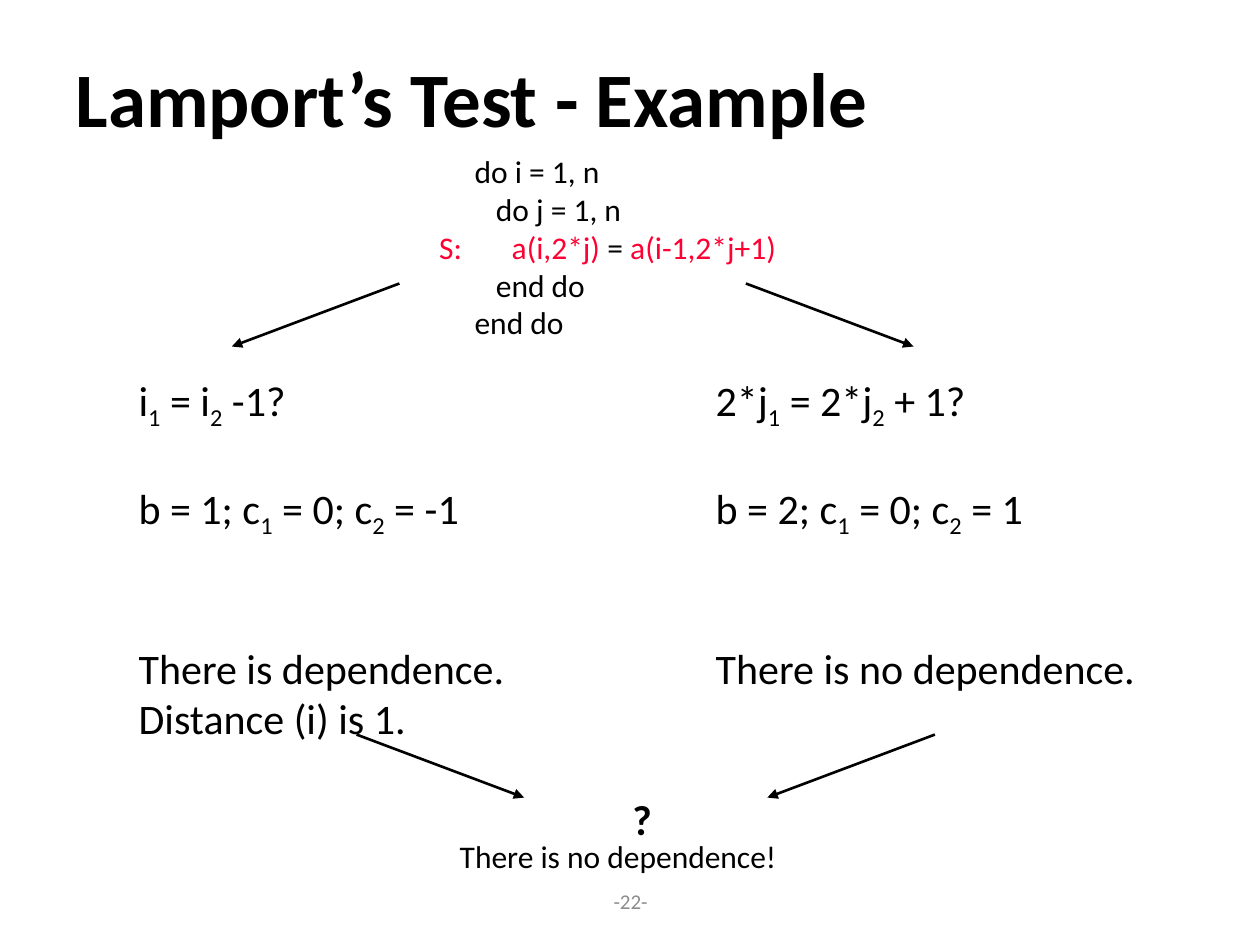
"""Builds a slide that works through an example of Lamport's dependence test."""
from lxml import etree
from pptx import Presentation
from pptx import util as u
from pptx.dml.color import RGBColor
from pptx.enum import shapes, text
from pptx.oxml.ns import qn

BLACK = RGBColor(0x00, 0x00, 0x00)
RED = RGBColor(0xFF, 0x00, 0x33)
GRAY = RGBColor(0x8C, 0x8C, 0x8C)
FONT = "Calibri"
LEFT, CENTER = text.PP_ALIGN.LEFT, text.PP_ALIGN.CENTER
TOP, MIDDLE = text.MSO_ANCHOR.TOP, text.MSO_ANCHOR.MIDDLE

TITLE = "Lamport’s Test - Example"
LOOP = [
    "      do i = 1, n",
    "         do j = 1, n",
    [(" S:       a(i,2*j)", RED), (" = ", BLACK), ("a(i-1,2*j+1)", RED)],
    "         end do",
    "      end do",
]
TESTS = [
    ["i_1 = i_2 -1?", "b = 1; c_1 = 0; c_2 = -1",
     "There is dependence.", "Distance (i) is 1."],
    ["2*j_1 = 2*j_2 + 1?", "b = 2; c_1 = 0; c_2 = 1",
     "There is no dependence."],
]
QUESTION = "?"
CONCLUSION = "There is no dependence!"
PAGE = "-22-"

TEST_LEFTS = (1, 5.58)
TEST_TOP, TEST_WIDTH, TEST_HEIGHT = 2.92, 3.92, 3.25
TEST_GAPS = (0, 29, 58.5, 0)
ARROW_RUN, ARROW_DROP = 1.33, 0.5
ARROW_STARTS = [(5.92, 2.25, 1), (3.17, 2.25, -1), (2.83, 5.83, 1), (7.42, 5.83, -1)]


def write(shape, lines, box, size, color=BLACK, bold=False, align=LEFT,
          anchor=TOP, gaps=(), wrap=True):
    """Place a shape and fill it; an underscore makes the next digit a subscript."""
    shape.left, shape.top, shape.width, shape.height = map(u.Inches, box)
    frame = shape.text_frame
    frame.auto_size = text.MSO_AUTO_SIZE.NONE
    frame.word_wrap, frame.vertical_anchor = wrap, anchor
    for row, line in enumerate(lines):
        paragraph = frame.add_paragraph() if row else frame.paragraphs[0]
        properties = paragraph._p.get_or_add_pPr()
        properties.set("marL", "0")
        properties.set("indent", "0")
        etree.SubElement(properties, qn("a:buNone"))
        paragraph.alignment = align
        paragraph.space_before = u.Pt(gaps[row] if gaps else 0)
        for words, tint in [(line, color)] if isinstance(line, str) else line:
            first, *marked = words.split("_")
            pieces = [(first, False)]
            for part in marked:
                pieces += [(part[0], True), (part[1:], False)]
            for piece, lowered in pieces:
                run = paragraph.add_run()
                run.text = piece
                font = run.font
                font.name, font.size, font.bold = FONT, u.Pt(size), bold
                font.color.rgb = tint
                if lowered:
                    font._element.set("baseline", "-25000")


def add_arrow(slide, x, y, direction):
    """Draw a downward arrow to the right (1) or to the left (-1)."""
    ends = (x, y, x + direction * ARROW_RUN, y + ARROW_DROP)
    arrow = slide.shapes.add_connector(
        shapes.MSO_CONNECTOR.STRAIGHT, *map(u.Inches, ends))
    arrow.line.color.rgb, arrow.line.width = BLACK, u.Pt(1.5)
    etree.SubElement(arrow.line._get_or_add_ln(), qn("a:tailEnd"), type="triangle")
    etree.SubElement(arrow._element.spPr, qn("a:effectLst"))


def main():
    """Build and save the slide."""
    deck = Presentation()
    deck.slide_width, deck.slide_height = u.Inches(10), u.Inches(7.5)
    slide = deck.slides.add_slide(deck.slide_layouts[3])
    title, *bodies = slide.placeholders
    write(title, [TITLE], (0.5, 0.14, 9, 1.25), 44, bold=True, anchor=MIDDLE)
    for body, test, left in zip(bodies, TESTS, TEST_LEFTS):
        write(body, test, (left, TEST_TOP, TEST_WIDTH, TEST_HEIGHT), 24, gaps=TEST_GAPS)

    def label(lines, box, size, **style):
        write(slide.shapes.add_textbox(0, 0, 0, 0), lines, box, size, **style)

    label(LOOP, (3.33, 1.16, 3.58, 1.6), 18)
    for start in ARROW_STARTS:
        add_arrow(slide, *start)
    label([QUESTION], (4.92, 6.25, 0.39, 0.5), 24, bold=True, wrap=False)
    label([CONCLUSION], (3.55, 6.59, 3.01, 0.4), 18, wrap=False)
    label([PAGE], (3.42, 6.95, 3.17, 0.4), 12, color=GRAY, align=CENTER, anchor=MIDDLE)
    deck.save("out.pptx")


if __name__ == "__main__":
    main()
